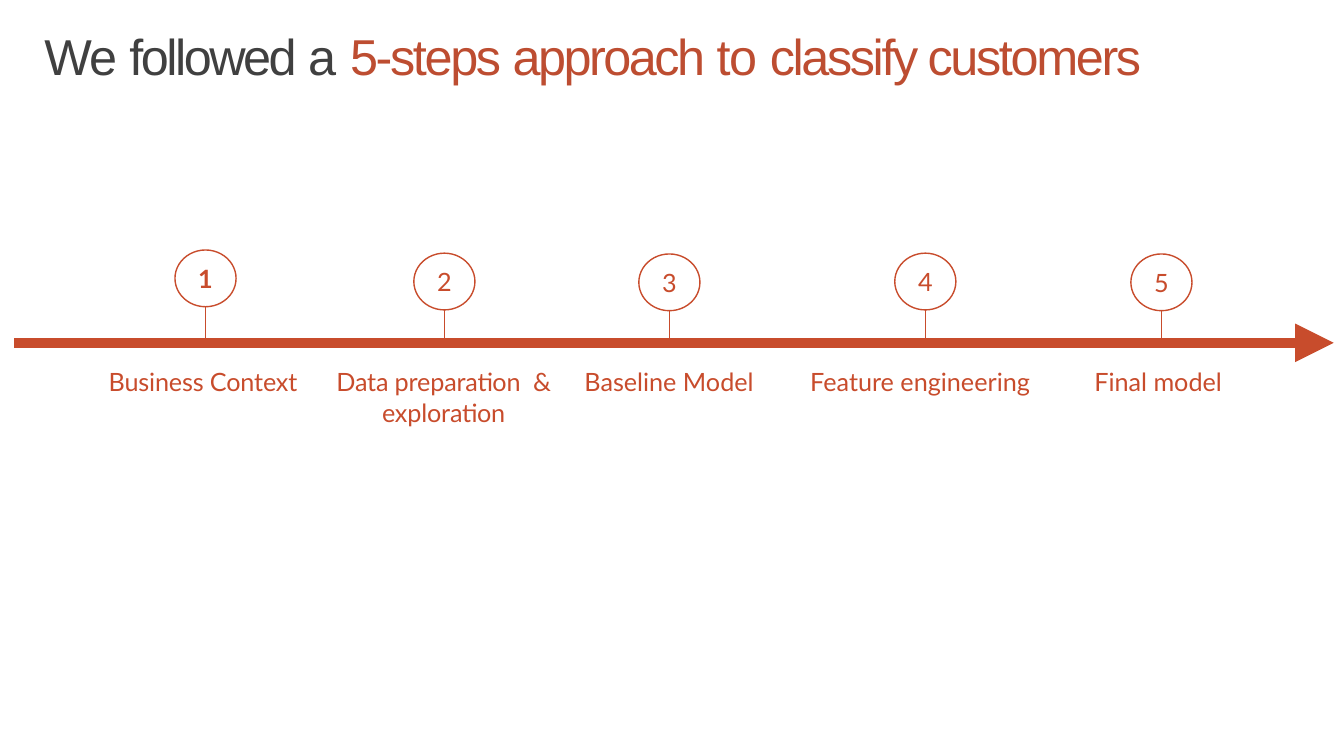
from lxml import etree
from pptx import Presentation
from pptx.dml.color import RGBColor
from pptx.enum.shapes import MSO_CONNECTOR, MSO_SHAPE
from pptx.enum.text import MSO_ANCHOR, MSO_AUTO_SIZE, PP_ALIGN
from pptx.oxml.ns import qn
from pptx.util import Cm, Pt

STRAIGHT = MSO_CONNECTOR.STRAIGHT
OVAL, TRIANGLE = MSO_SHAPE.OVAL, MSO_SHAPE.ISOSCELES_TRIANGLE
TOP, MIDDLE = MSO_ANCHOR.TOP, MSO_ANCHOR.MIDDLE
LEFT, CENTER = PP_ALIGN.LEFT, PP_ALIGN.CENTER
FIXED = MSO_AUTO_SIZE.NONE


def rgb(hex_color):
    return RGBColor.from_string(hex_color)


class Timeline:
    """Style and drawing methods for the current slide."""
    accent, dark, title_accent, white = "C84C2C", "404040", "BD4D31", "FFFFFF"
    title_font, body_font = "Arial", "Lato"
    title_size, body_size = 36, 18

    def __init__(self, slide):
        self.slide = slide

    def frame(self, sp, anchor, align, top=0):
        tf = sp.text_frame
        tf.word_wrap, tf.auto_size = True, FIXED
        tf.vertical_anchor = anchor
        tf.margin_left = tf.margin_right = tf.margin_bottom = 0
        tf.margin_top = Cm(top)
        p = tf.paragraphs[0]
        p.alignment = align
        return p

    def run(self, p, text, font, size, color, spacing=0, bold=False):
        r = p.add_run()
        r.text = text
        r.font.name, r.font.size, r.font.bold = font, Pt(size), bold
        r.font.color.rgb = rgb(color)
        if spacing:
            r.font._element.set("spc", str(round(spacing * 100)))

    def title(self, x, y, w, h, parts):
        sp = self.slide.shapes.title
        sp.left, sp.top, sp.width, sp.height = Cm(x), Cm(y), Cm(w), Cm(h)
        p = self.frame(sp, MIDDLE, LEFT, 0.06)
        for text, color, spacing in parts:
            self.run(p, text, self.title_font, self.title_size, color, spacing)

    def label(self, x, y, w, h, text, align, spacing):
        sp = self.slide.shapes.add_textbox(Cm(x), Cm(y), Cm(w), Cm(h))
        p = self.frame(sp, TOP, align, 0.06)
        self.run(p, text, self.body_font, self.body_size, self.accent, spacing)

    def shape(self, kind, x, y, w, h, fill):
        sp = self.slide.shapes.add_shape(kind, Cm(x), Cm(y), Cm(w), Cm(h))
        sp.shadow.inherit = False
        sp.fill.solid()
        sp.fill.fore_color.rgb = rgb(fill)
        return sp

    def badge(self, x, y, w, h, number, bold):
        sp = self.shape(OVAL, x, y, w, h, self.white)
        sp.line.color.rgb, sp.line.width = rgb(self.accent), Pt(1)
        p = self.frame(sp, MIDDLE, CENTER)
        self.run(p, number, self.body_font, self.body_size, self.accent, bold=bold)

    def arrow_tip(self, x, y, size):
        sp = self.shape(TRIANGLE, x, y, size, size, self.accent)
        sp.rotation = 90
        sp.line.fill.background()

    def line(self, x1, y1, x2, y2, width):
        s = self.slide.shapes.add_connector(STRAIGHT, Cm(x1), Cm(y1), Cm(x2), Cm(y2))
        s.line.color.rgb, s.line.width = rgb(self.accent), Pt(width)
        etree.SubElement(s._element.spPr, qn("a:effectLst"))


AXIS_Y, AXIS_LEFT, TIP_LEFT, TIP_SIZE = 8.64, 0.36, 32.64, 0.97
BADGE_W, BADGE_H = 1.54, 1.43
LABEL_Y, LINE_H = 9.18, 0.8

# Centre, badge top, label left, label width, lines, text, letter spacing
STEPS = [
    (5.18, 6.3, 2.74, 4.9, 1, "Business Context", -0.1),
    (11.2, 6.38, 8.42, 5.52, 2, "Data preparation  & exploration", -0.1),
    (16.87, 6.4, 14.73, 4.4, 1, "Baseline Model", 0),
    (23.32, 6.38, 20.42, 5.8, 1, "Feature engineering", 0),
    (29.27, 6.4, 27.58, 3.4, 1, "Final model", 0),
]


def main():
    prs = Presentation()
    prs.slide_width, prs.slide_height = Cm(33.87), Cm(19.05)
    s = Timeline(prs.slides.add_slide(prs.slide_layouts[5]))

    # Title
    s.title(1.12, 0.58, 29.46, 1.58, [
        ("We ", s.dark, -1.3),
        ("followed ", s.dark, -1.8),
        ("a ", s.dark, 0),
        ("5-steps ", s.title_accent, -1.7),
        ("approach ", s.title_accent, -1.8),
        ("to ", s.title_accent, -1),
        ("classify customers", s.title_accent, -1.7),
    ])

    # Steps: stem, numbered badge and label
    for i, (center, top, left, width, lines, text, spacing) in enumerate(STEPS, 1):
        s.line(center, top + BADGE_H, center, AXIS_Y, 1)
        s.badge(center - BADGE_W / 2, top, BADGE_W, BADGE_H, str(i), i == 1)
        align = CENTER if lines > 1 else LEFT
        s.label(left, LABEL_Y, width, lines * LINE_H, text, align, spacing)

    # Time axis
    s.line(AXIS_LEFT, AXIS_Y, TIP_LEFT + 0.1, AXIS_Y, 7)
    s.arrow_tip(TIP_LEFT, AXIS_Y - TIP_SIZE / 2, TIP_SIZE)

    prs.save("out.pptx")


if __name__ == "__main__":
    main()
